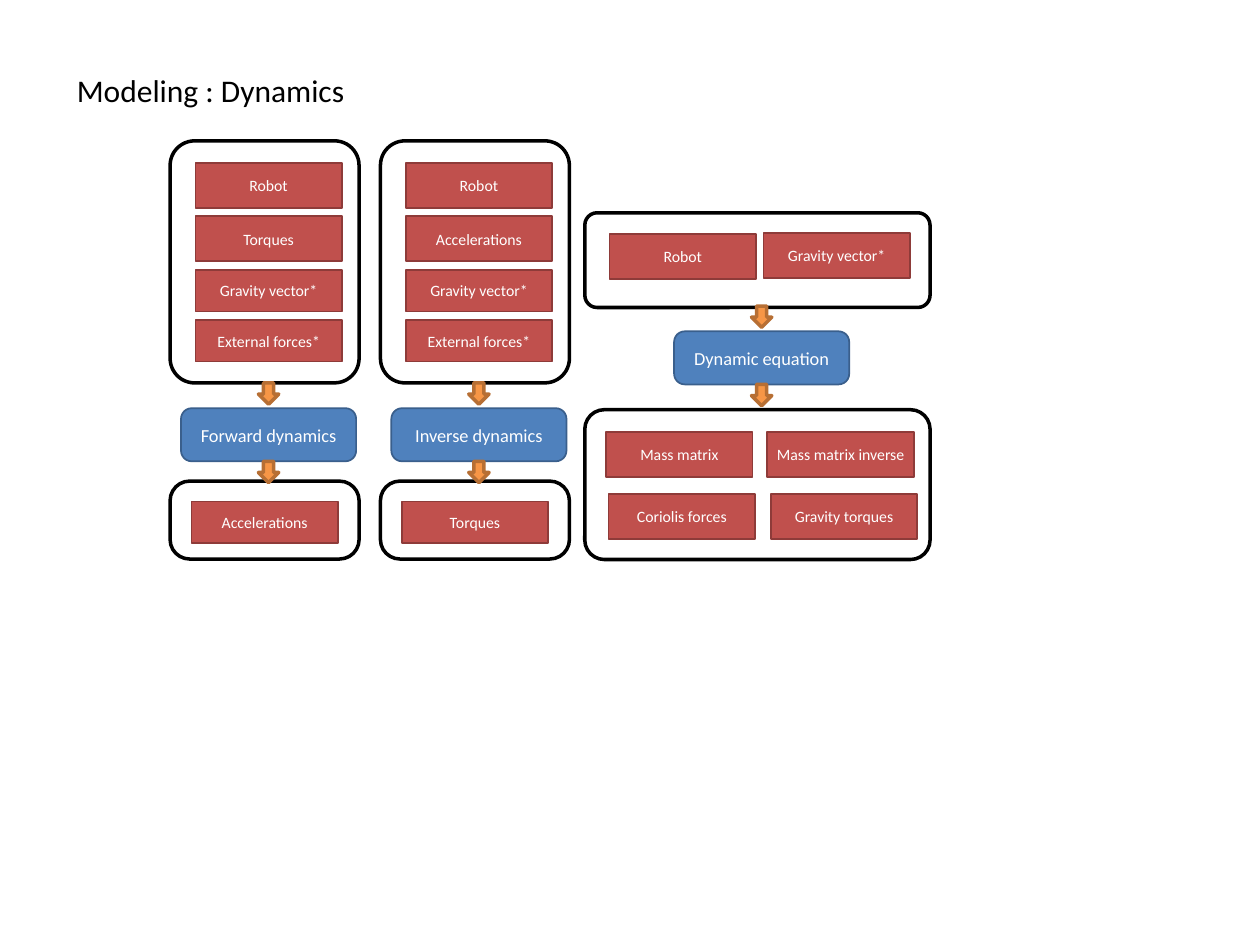
from pptx import Presentation
from pptx.dml.color import RGBColor
from pptx.enum.shapes import MSO_SHAPE as Preset
from pptx.enum.text import MSO_ANCHOR as Anchor, MSO_AUTO_SIZE as AutoSize, PP_ALIGN as Align
from pptx.util import Cm, Pt

TITLE = "Modeling : Dynamics"

# Two columns: stacked inputs, a process, one result
COLUMNS = [
    {"inputs": ["Robot", "Torques", "Gravity vector*", "External forces*"],
     "process": "Forward dynamics", "result": "Accelerations"},
    {"inputs": ["Robot", "Accelerations", "Gravity vector*", "External forces*"],
     "process": "Inverse dynamics", "result": "Torques"},
]

# Wide panel: label, left, top in cm
EQUATION = {
    "inputs": [("Robot", 12.29, 4.72), ("Gravity vector*", 15.39, 4.7)],
    "process": "Dynamic equation",
    "results": [("Mass matrix", 12.22, 8.71), ("Mass matrix inverse", 15.47, 8.71),
                ("Coriolis forces", 12.27, 9.96), ("Gravity torques", 15.54, 9.96)],
}

THEME = {
    "font": "Calibri",
    "title": {"size": 18, "color": "000000"},
    "frame": {"preset": Preset.ROUNDED_RECTANGLE, "fill": "FFFFFF", "line": "000000", "weight": 2},
    "item": {"preset": Preset.RECTANGLE, "fill": "C0504D", "line": "8E3B39", "weight": 1,
             "size": 9, "color": "FFFFFF", "inset": 0.13},
    "process": {"preset": Preset.ROUNDED_RECTANGLE, "fill": "4F81BD", "line": "3A5F8C",
                "weight": 1, "size": 10.5, "color": "FFFFFF", "inset": 0, "corner": 0.2},
    "arrow": {"preset": Preset.DOWN_ARROW, "fill": "F79646", "line": "B76F34", "weight": 2},
}

# Lengths in cm
COLUMN_LEFT, COLUMN_PITCH, COLUMN_WIDTH = 3.43, 4.24, 3.81
INPUTS_TOP, PROCESS_TOP, RESULT_TOP = 2.84, 8.23, 9.7
ITEM_WIDTH, ITEM_TALL, ITEM_LOW, ITEM_GAP = 2.95, 0.91, 0.84, 0.17
INPUT_HEIGHTS = [ITEM_TALL, ITEM_TALL, ITEM_LOW, ITEM_LOW]
PROCESS_WIDTH, PROCESS_HEIGHT = 3.53, 1.07
ARROW_WIDTH, ARROW_HEIGHT, ARROW_RISE = 0.41, 0.43, 0.51
PANEL_LEFT, PANEL_WIDTH = 11.79, 6.96


def write(frame, text, style):
    para = frame.paragraphs[0]
    span = para.add_run()
    span.text = text
    span.font.color.rgb = RGBColor.from_string(style["color"])
    for name, value in {"name": THEME["font"], "size": Pt(style["size"])}.items():
        setattr(span.font, name, value)
    return para


def add_box(page, kind, left, top, width, height, text=None, corner=None):
    """Add a shape in the theme style named by kind, sized in cm."""
    style = THEME[kind]
    box = page.shapes.add_shape(style["preset"], Cm(left), Cm(top), Cm(width), Cm(height))
    box.shadow.inherit = False
    box.fill.solid()
    box.fill.fore_color.rgb = RGBColor.from_string(style["fill"])
    box.line.color.rgb = RGBColor.from_string(style["line"])
    box.line.width = Pt(style["weight"])
    corner = corner or style.get("corner")
    if corner:
        box.adjustments[0] = corner
    if text:
        inset = Cm(style["inset"])
        layout = {"margin_left": 0, "margin_right": 0, "margin_top": inset,
                  "margin_bottom": inset, "vertical_anchor": Anchor.MIDDLE, "word_wrap": True}
        for name, value in layout.items():
            setattr(box.text_frame, name, value)
        write(box.text_frame, text, style).alignment = Align.CENTER


def add_process(page, text, left, top):
    """Add a process box with an arrow into it and one out of it."""
    add_box(page, "process", left, top, PROCESS_WIDTH, PROCESS_HEIGHT, text)
    arrow_left = left + (PROCESS_WIDTH - ARROW_WIDTH) / 2
    for arrow_top in (top - ARROW_RISE, top + PROCESS_HEIGHT):
        add_box(page, "arrow", arrow_left, arrow_top, ARROW_WIDTH, ARROW_HEIGHT)


def add_column(page, column, left):
    add_box(page, "frame", left, INPUTS_TOP, COLUMN_WIDTH, 4.88, corner=0.13)
    add_box(page, "frame", left, RESULT_TOP, COLUMN_WIDTH, 1.57, corner=0.25)
    top = INPUTS_TOP + 0.44
    for text, height in zip(column["inputs"], INPUT_HEIGHTS):
        add_box(page, "item", left + 0.51, top, ITEM_WIDTH, height, text)
        top += height + ITEM_GAP
    add_process(page, column["process"], left + 0.22, PROCESS_TOP)
    add_box(page, "item", left + 0.43, RESULT_TOP + 0.41, ITEM_WIDTH, ITEM_LOW, column["result"])


def add_equation(page):
    for top, height in ((4.29, 1.91), (8.26, 3.02)):
        add_box(page, "frame", PANEL_LEFT, top, PANEL_WIDTH, height, corner=0.13)
    for text, left, top in EQUATION["inputs"] + EQUATION["results"]:
        add_box(page, "item", left, top, ITEM_WIDTH, ITEM_TALL, text)
    add_process(page, EQUATION["process"], 13.59, 6.68)


def add_title(page):
    frame = page.shapes.add_textbox(Cm(1.3), Cm(1.3), Cm(5.97), Cm(1.02)).text_frame
    frame.word_wrap = False
    frame.auto_size = AutoSize.SHAPE_TO_FIT_TEXT
    write(frame, TITLE, THEME["title"])


def main():
    deck = Presentation()
    deck.slide_width, deck.slide_height = Cm(25.4), Cm(19.05)
    page = deck.slides.add_slide(deck.slide_layouts[6])
    for index, column in enumerate(COLUMNS):
        add_column(page, column, COLUMN_LEFT + index * COLUMN_PITCH)
    add_equation(page)
    add_title(page)
    deck.save("out.pptx")


if __name__ == "__main__":
    main()
